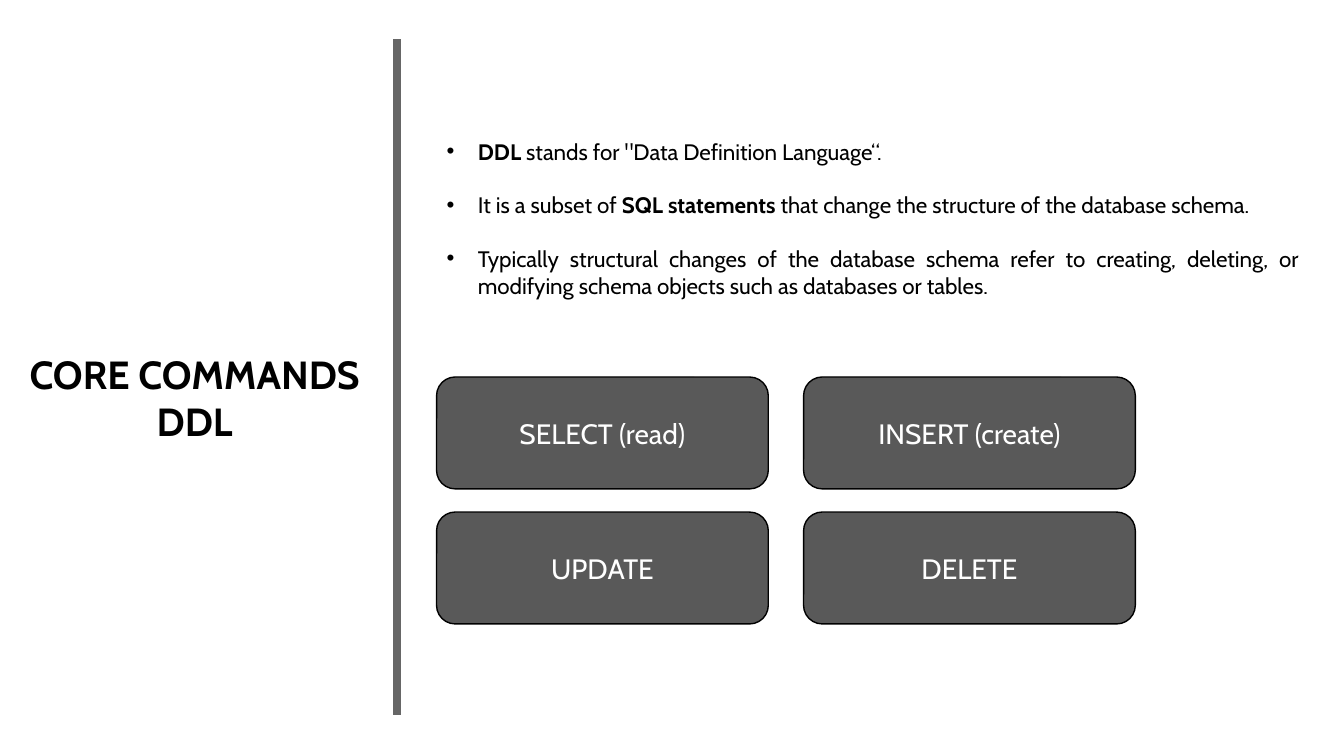
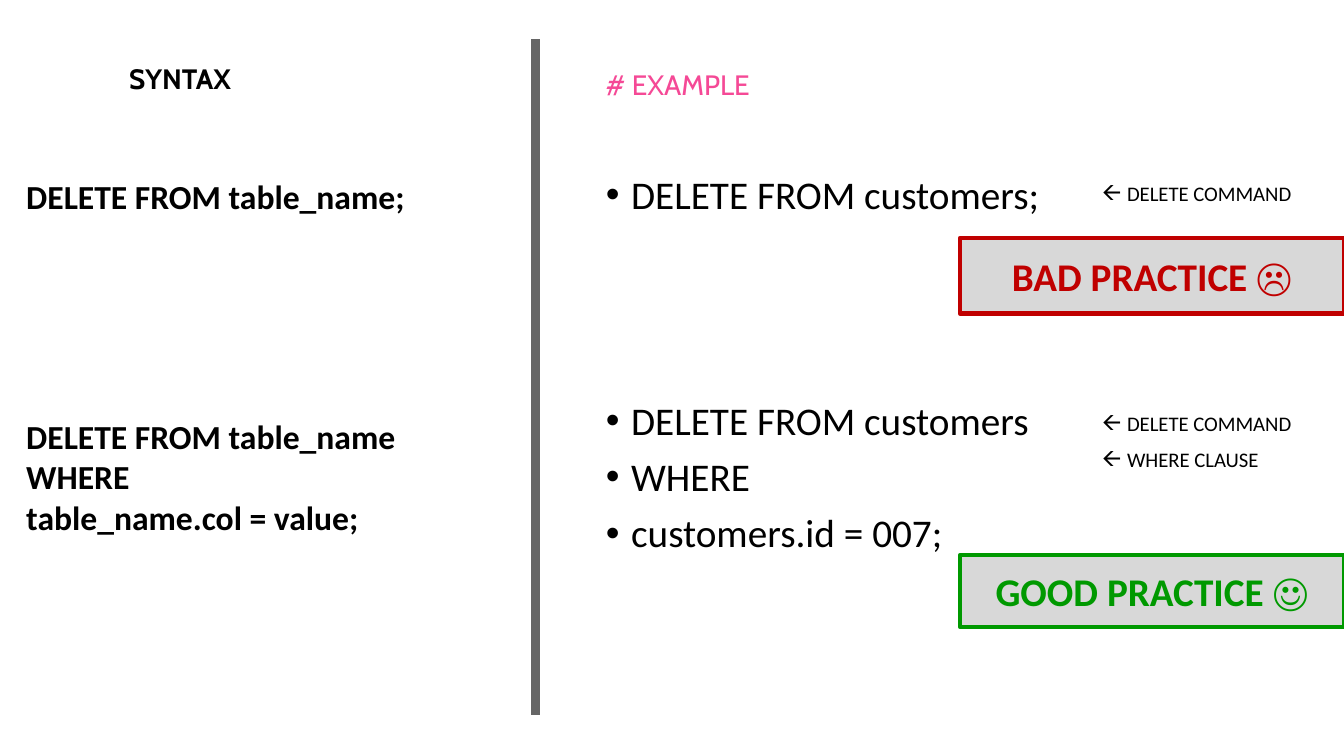
from lxml import etree
from pptx import Presentation
from pptx.dml.color import RGBColor
from pptx.enum import shapes, text
from pptx.oxml import ns
from pptx.util import Inches, Pt

BLACK = RGBColor(0x00, 0x00, 0x00)
WHITE = RGBColor(0xFF, 0xFF, 0xFF)
DARK_GREY = RGBColor(0x59, 0x59, 0x59)
DIVIDER_GREY = RGBColor(0x66, 0x66, 0x66)
LIGHT_GREY = RGBColor(0xD8, 0xD8, 0xD8)
RED = RGBColor(0xC0, 0x00, 0x00)
GREEN = RGBColor(0x00, 0x99, 0x00)
PINK = RGBColor(0xF5, 0x49, 0x96)

ALIGN = text.PP_ALIGN
TOP, MIDDLE = text.MSO_ANCHOR.TOP, text.MSO_ANCHOR.MIDDLE
HEADING = {"name": "Cabin", "size": Pt(20), "bold": True}
CODE = {"name": "Calibri", "size": Pt(28), "bold": False}
NOTE = {"name": "Calibri", "size": Pt(14.8), "bold": False}


def write(shape, box, lines, font, color=BLACK, align=ALIGN.LEFT, anchor=TOP,
          spacing=1.0, bullet=None, indent=0.25):
    """Place a shape and fill it with (text, points before) lines; ** toggles bold."""
    shape.left, shape.top, shape.width, shape.height = map(Inches, box)
    frame = shape.text_frame
    frame.word_wrap = True
    frame.auto_size = text.MSO_AUTO_SIZE.NONE
    frame.vertical_anchor = anchor
    for index, (line, before) in enumerate(lines):
        paragraph = frame.paragraphs[0] if index == 0 else frame.add_paragraph()
        layout = {"alignment": align, "line_spacing": spacing,
                  "space_before": Pt(before), "space_after": Pt(0)}
        for name, value in layout.items():
            setattr(paragraph, name, value)
        for part, words in enumerate(line.split("**")):
            if words:
                run = paragraph.add_run()
                run.text = words
                for name, value in font.items():
                    setattr(run.font, name, value)
                run.font.bold = font["bold"] or part % 2 == 1
                run.font.color.rgb = color
        properties = paragraph._p.get_or_add_pPr()
        margin = Inches(indent) if bullet else 0
        properties.set("marL", str(margin))
        properties.set("indent", str(-margin))
        if bullet:
            etree.SubElement(properties, ns.qn("a:buFont"), typeface="Arial")
            etree.SubElement(properties, ns.qn("a:buChar"), char=bullet)
        else:
            etree.SubElement(properties, ns.qn("a:buNone"))


def outline(shape, fill, line, width):
    shape.shadow.inherit = False
    shape.fill.solid()
    shape.fill.fore_color.rgb = fill
    shape.line.color.rgb = line
    shape.line.width = Pt(width)


presentation = Presentation()
presentation.slide_width = Inches(13.33)
presentation.slide_height = Inches(7.5)
commands_slide = presentation.slides.add_slide(presentation.slide_layouts[1])
delete_slide = presentation.slides.add_slide(presentation.slide_layouts[3])

# Vertical divider on both slides
for slide, x in ((commands_slide, 3.94), (delete_slide, 5.31)):
    divider = slide.shapes.add_connector(
        shapes.MSO_CONNECTOR.STRAIGHT, Inches(x), Inches(0.39), Inches(x), Inches(7.09))
    divider.line.color.rgb = DIVIDER_GREY
    divider.line.width = Pt(6)
    etree.SubElement(divider._element.spPr, ns.qn("a:effectLst"))

# Core commands
write(commands_slide.shapes.title, (0, 3.37, 3.86, 1.14),
      [("CORE COMMANDS", 0), ("DDL", 0)], {**HEADING, "size": Pt(28)},
      align=ALIGN.CENTER, anchor=MIDDLE)
write(commands_slide.placeholders[1], (4.33, 1.18, 8.66, 1.97), [
    ('**DDL** stands for "Data Definition Language“.', 0),
    ("It is a subset of **SQL statements** that change the structure of the "
     "database schema.", 19),
    ("Typically structural changes of the database schema refer to creating, "
     "deleting, or modifying schema objects such as databases or tables.", 19),
], {"name": "Cabin", "size": Pt(16), "bold": False},
    align=ALIGN.JUSTIFY, anchor=MIDDLE, bullet="•", indent=0.31)

commands = ("SELECT (read)", "INSERT (create)", "UPDATE", "DELETE")
for index, command in enumerate(commands):
    row, column = divmod(index, 2)
    box = (4.33 + column * 3.64, 3.74 + row * 1.34, 3.29, 1.11)
    button = commands_slide.shapes.add_shape(
        shapes.MSO_SHAPE.ROUNDED_RECTANGLE, *map(Inches, box))
    outline(button, DARK_GREY, BLACK, 1)
    write(button, box, [(command, 0)], {**HEADING, "bold": False}, WHITE,
          ALIGN.CENTER, MIDDLE)

# Delete syntax and examples
write(delete_slide.shapes.title, (1.18, 0.56, 3.94, 0.44), [("SYNTAX", 0)], HEADING)
write(delete_slide.placeholders[1], (0.16, 1.69, 4.66, 3.74), [
    ("DELETE FROM table_name;", 0),
    ("DELETE FROM table_name", 143),
    ("WHERE", 0),
    ("table_name.col = value;", 0),
], {**CODE, "size": Pt(24), "bold": True})
write(delete_slide.placeholders[2], (5.91, 1.69, 5.72, 3.95), [
    ("DELETE FROM customers;", 0),
    ("DELETE FROM customers", 131),
    ("WHERE", 10),
    ("customers.id = 007;", 10),
], CODE, spacing=0.9, bullet="•")

example_box = (5.91, 0.42, 3.94, 0.79)
example = delete_slide.shapes.add_textbox(*map(Inches, example_box))
write(example, example_box, [("# EXAMPLE", 0)], {**HEADING, "bold": False}, PINK,
      anchor=MIDDLE, spacing=1.1)

notes = (
    ((10.83, 1.77, 2.17, 0.39), [("DELETE COMMAND", 0)]),
    ((10.83, 4.05, 2.17, 0.75), [("DELETE COMMAND", 0), ("WHERE CLAUSE", 10)]),
)
for box, lines in notes:
    note = delete_slide.shapes.add_textbox(*map(Inches, box))
    write(note, box, lines, NOTE, spacing=0.9, bullet="🡨")

verdicts = (
    ("BAD PRACTICE ☹", RED, 2.36, 0.75),
    ("GOOD PRACTICE ☺", GREEN, 5.51, 0.71),
)
for verdict, color, top, height in verdicts:
    box = (9.52, top, 3.81, height)
    banner = delete_slide.shapes.add_shape(
        shapes.MSO_SHAPE.RECTANGLE, *map(Inches, box))
    outline(banner, LIGHT_GREY, color, 3)
    write(banner, box, [(verdict, 0)], {**CODE, "bold": True}, color,
          ALIGN.CENTER, MIDDLE)

presentation.save("out.pptx")
